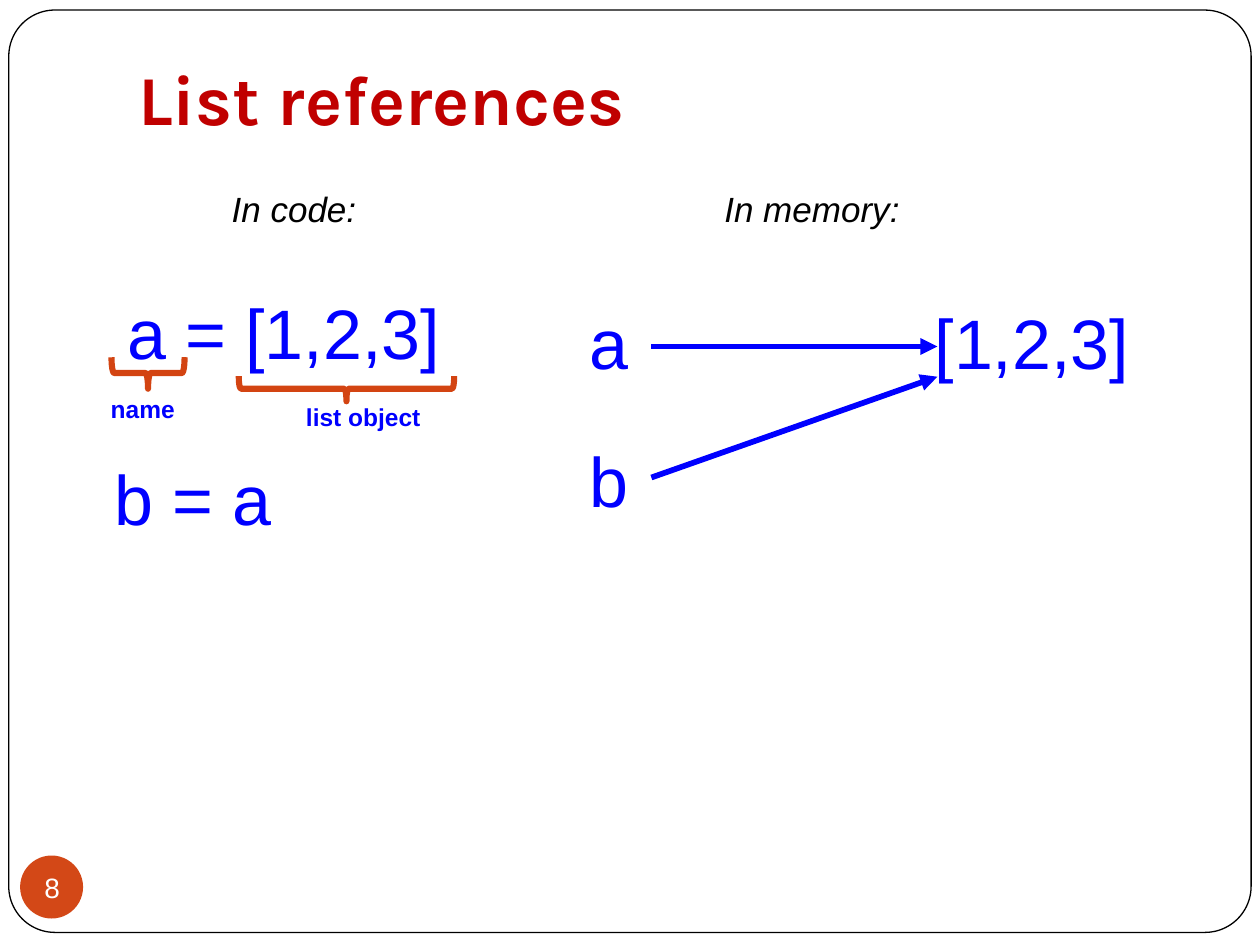
"""Build the slide on list references: code on the left, memory on the right."""
from lxml import etree
from pptx import Presentation, util as u
from pptx.dml.color import RGBColor
from pptx.enum import shapes, text
from pptx.oxml.ns import qn

INK = {"blue": "0000FF", "red": "C00000", "black": "000000",
       "white": "FFFFFF", "disc": "D34817", "brace": "D34412"}
CODE = {"size": 40, "ink": "blue"}
TAG = {"size": 14, "ink": "blue", "bold": True}
HEAD = {"size": 20, "ink": "black", "italic": True}

LABELS = [
    ("name", (0.78, 3.08, 0.71, 0.34), TAG),
    ("list object", (2.33, 3.14, 1.11, 0.34), TAG),
    ("a = [1,2,3]", (0.91, 2.25, 2.71, 0.77), CODE),
    ("b = a", (0.81, 3.57, 1.47, 0.77), CODE),
    ("a\t[1,2,3]", (4.58, 2.33, 5, 0.77), {**CODE, "wrap": True, "tab": 2.74}),
    ("b", (4.58, 3.42, 0.51, 0.77), CODE),
    ("List references", (1, 0.3, 8.5, 0.91),
     {"size": 40, "ink": "red", "bold": True, "face": "Karla", "wrap": True,
      "anchor": "BOTTOM", "foot": 0.1}),
    ("In code:", (1.74, 1.44, 1.2, 0.44), HEAD),
    ("In memory:", (5.65, 1.44, 1.59, 0.44), {**HEAD, "wrap": True}),
    ("8", (0.08, 6.79, 0.67, 0.5),
     {"size": 16, "ink": "white", "align": "CENTER", "anchor": "MIDDLE", "wrap": True}),
]
BRACES = [(1.05, 2.67, 0.25, 0.58), (2.65, 2.23, 0.2, 1.71)]
ARROWS = [(5.17, 2.75, 7.44, 2.75), (5.17, 3.79, 7.44, 2.99)]


def inch(vals):
    return [u.Inches(v) for v in vals]


def tint(name):
    return RGBColor.from_string(INK[name])


def stroke(line, ink, width):
    line.color.rgb = tint(ink)
    line.width = u.Pt(width)


def shape(slide, kind, box, fill=None, ink=None, width=1):
    item = slide.shapes.add_shape(kind, *inch(box))
    item.shadow.inherit = False
    if fill:
        item.fill.solid()
        item.fill.fore_color.rgb = tint(fill)
    else:
        item.fill.background()
    if ink:
        stroke(item.line, ink, width)
    else:
        item.line.fill.background()
    return item


def label(slide, words, box, size=20, ink="black", face="Arial", bold=False, italic=False,
          align="LEFT", anchor="TOP", wrap=False, tab=None, foot=0.05):
    frame = slide.shapes.add_textbox(*inch(box)).text_frame
    frame.word_wrap = wrap
    frame.vertical_anchor = text.MSO_ANCHOR[anchor]
    frame.margin_bottom = u.Inches(foot)
    para = frame.paragraphs[0]
    para.text = words
    para.alignment = text.PP_ALIGN[align]
    if tab:
        stops = etree.SubElement(para._p.get_or_add_pPr(), qn("a:tabLst"))
        etree.SubElement(stops, qn("a:tab"), pos=str(u.Inches(tab)), algn="l")
    for run in para.runs:
        font = run.font
        font.name, font.size = face, u.Pt(size)
        font.bold, font.italic = bold, italic
        font.color.rgb = tint(ink)


def arrow(slide, ends):
    item = slide.shapes.add_connector(shapes.MSO_CONNECTOR.STRAIGHT, *inch(ends))
    stroke(item.line, "blue", 3.25)
    etree.SubElement(item.line._get_or_add_ln(), qn("a:tailEnd"), type="triangle")
    etree.SubElement(item._element.spPr, qn("a:effectLst"))


def main():
    deck = Presentation()
    deck.slide_width, deck.slide_height = inch((10, 7.5))
    slide = deck.slides.add_slide(deck.slide_layouts[6])
    kind = shapes.MSO_SHAPE
    frame = shape(slide, kind.ROUNDED_RECTANGLE, (0.07, 0.08, 9.86, 7.32),
                  "white", "black", 0.75)
    frame.adjustments[0] = 0.05
    shape(slide, kind.OVAL, (0.16, 6.79, 0.5, 0.5), "disc")
    for box in BRACES:
        shape(slide, kind.LEFT_BRACE, box, ink="brace", width=3.5).rotation = 270
    for words, box, style in LABELS:
        label(slide, words, box, **style)
    for ends in ARROWS:
        arrow(slide, ends)
    deck.save("out.pptx")


if __name__ == "__main__":
    main()
